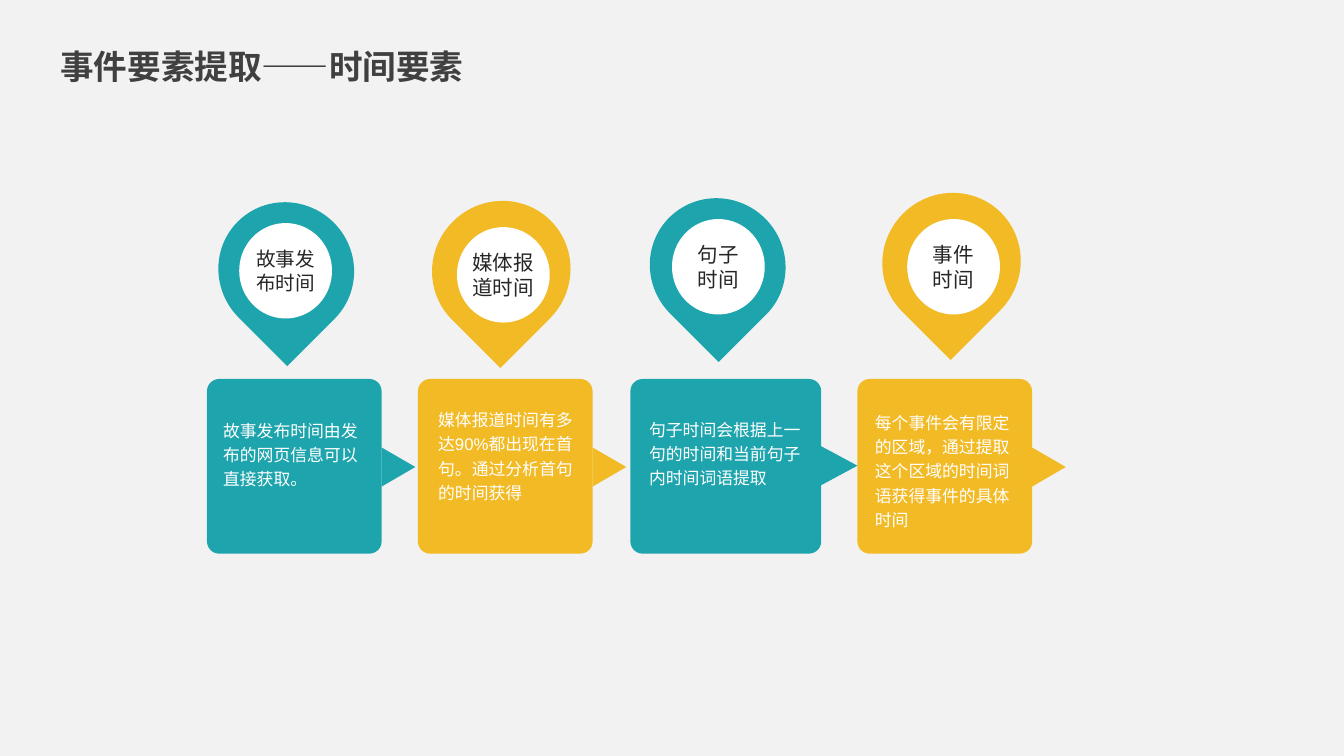
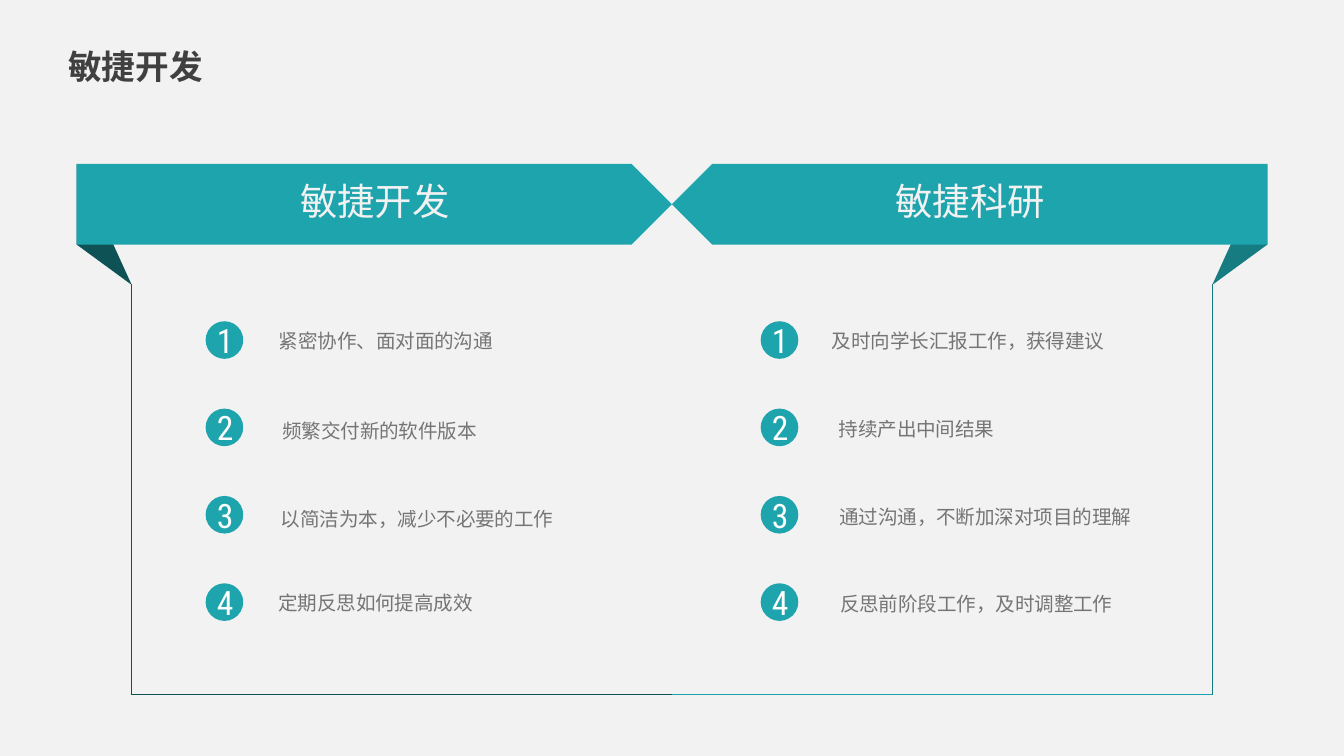
from dataclasses import dataclass

import pptx
import pptx.dml.color
import pptx.enum.shapes
import pptx.enum.text
import pptx.oxml
import pptx.oxml.ns
import pptx.presentation
import pptx.shapes.autoshape
import pptx.slide
import pptx.util
from lxml import etree

RGBColor = pptx.dml.color.RGBColor
SHAPE = pptx.enum.shapes.MSO_SHAPE
ALIGN = pptx.enum.text.PP_ALIGN
qn = pptx.oxml.ns.qn

EMU_PER_PX = 9144
SLIDE_WIDTH = 1000

TEAL = RGBColor(0x1E, 0xA4, 0xAD)
YELLOW = RGBColor(0xF2, 0xBA, 0x25)
DARK_TEAL = RGBColor(0x0F, 0x52, 0x56)
MID_TEAL = RGBColor(0x17, 0x7B, 0x82)
LINE_TEAL = RGBColor(0x1A, 0xA3, 0xAD)
PALE = RGBColor(0xF2, 0xF2, 0xF2)
WHITE = RGBColor(0xFF, 0xFF, 0xFF)
INK = RGBColor(0x26, 0x26, 0x26)
GRAY = RGBColor(0x40, 0x40, 0x40)

CJK_FONT = "Noto Sans CJK SC"
BODY_FONT = "Arial"
DIGIT_FONT = "Roboto Condensed"


@dataclass(frozen=True)
class Box:
    left: int
    top: int
    width: int
    height: int

    def emu(self) -> tuple[pptx.util.Emu, ...]:
        return tuple(map(px, (self.left, self.top, self.width, self.height)))


@dataclass(frozen=True)
class TextStyle:
    size: float
    color: RGBColor
    font: str = BODY_FONT
    bold: bool = False
    align: ALIGN = ALIGN.LEFT
    spacing: float | None = None
    opacity: int = 100
    inset: bool = False


@dataclass(frozen=True)
class TimeStep:
    color: RGBColor
    card: Box
    arrow: Box
    pin: Box
    disc: Box
    label: str
    label_size: float
    body: Box
    text: str


@dataclass(frozen=True)
class ListItem:
    box: Box
    text: str


@dataclass(frozen=True)
class Panel:
    heading: str
    left: int
    badge_left: int
    edge: int
    edge_color: RGBColor
    base_color: RGBColor
    mirrored: bool
    items: tuple[ListItem, ...]


TITLE = TextStyle(18, GRAY, CJK_FONT, bold=True, inset=True)
CARD_TEXT = TextStyle(9, WHITE, spacing=1.2)
HEADING = TextStyle(20, PALE, CJK_FONT, align=ALIGN.CENTER, inset=True)
DIGIT = TextStyle(18, WHITE, DIGIT_FONT, align=ALIGN.CENTER)
ITEM = TextStyle(10.5, GRAY, align=ALIGN.RIGHT, spacing=1.2, opacity=70)

STEPS = (
    TimeStep(TEAL, Box(154, 282, 130, 130), Box(282, 335, 29, 25),
             Box(163, 150, 100, 102), Box(178, 166, 69, 71),
             "故事发布时间", 10.5, Box(166, 310, 105, 55),
             "故事发布时间由发布的网页信息可以直接获取。"),
    TimeStep(YELLOW, Box(311, 282, 130, 130), Box(439, 335, 29, 25),
             Box(321, 150, 104, 102), Box(340, 169, 69, 71),
             "媒体报道时间", 11, Box(326, 302, 105, 71),
             "媒体报道时间有多达90%都出现在首句。通过分析首句的时间获得"),
    TimeStep(TEAL, Box(469, 282, 142, 130), Box(610, 333, 29, 27),
             Box(484, 147, 100, 102), Box(500, 163, 69, 71),
             "句子\n时间", 11, Box(483, 309, 120, 53),
             "句子时间会根据上一句的时间和当前句子内时间词语提取"),
    TimeStep(YELLOW, Box(638, 282, 130, 130), Box(766, 335, 29, 25),
             Box(656, 144, 104, 102), Box(675, 163, 69, 71),
             "事件\n时间", 11, Box(651, 304, 106, 89),
             "每个事件会有限定的区域，通过提取这个区域的时间词语获得事件的具体时间"),
)

PANELS = (
    Panel("敏捷开发", 57, 153, 98, DARK_TEAL, DARK_TEAL, False, (
        ListItem(Box(151, 241, 216, 19), "紧密协作、面对面的沟通"),
        ListItem(Box(170, 308, 185, 21), "频繁交付新的软件版本"),
        ListItem(Box(193, 374, 219, 21), "以简洁为本，减少不必要的工作"),
        ListItem(Box(183, 436, 169, 21), "定期反思如何提高成效"),
    )),
    Panel("敏捷科研", 500, 566, 902, MID_TEAL, LINE_TEAL, True, (
        ListItem(Box(602, 241, 220, 21), "及时向学长汇报工作，获得建议"),
        ListItem(Box(608, 307, 132, 21), "持续产出中间结果"),
        ListItem(Box(616, 372, 226, 21), "通过沟通，不断加深对项目的理解"),
        ListItem(Box(595, 437, 233, 21), "反思前阶段工作，及时调整工作"),
    )),
)


def px(length: int) -> pptx.util.Emu:
    return pptx.util.Emu(length * EMU_PER_PX)


def write_text(shape: pptx.shapes.autoshape.Shape, text: str, style: TextStyle) -> None:
    frame = shape.text_frame
    frame.text = text
    frame.word_wrap = True
    if not style.inset:
        frame.margin_left = frame.margin_right = frame.margin_top = frame.margin_bottom = 0
    for paragraph in frame.paragraphs:
        paragraph.alignment = style.align
        if style.spacing:
            paragraph.line_spacing = style.spacing
        for run in paragraph.runs:
            run.font.size = pptx.util.Pt(style.size)
            run.font.bold = style.bold
            run.font.color.rgb = style.color
            run.font.name = style.font
            properties = run.font._element
            latin = properties.find(qn("a:latin"))
            latin.addnext(etree.Element(qn("a:ea"), typeface=CJK_FONT))
            if style.opacity < 100:
                color = properties.find(".//" + qn("a:srgbClr"))
                etree.SubElement(color, qn("a:alpha"), val=str(style.opacity * 1000))


def add_text(slide: pptx.slide.Slide, box: Box, text: str, style: TextStyle) -> None:
    shape = slide.shapes.add_textbox(*box.emu())
    write_text(shape, text, style)
    shape.text_frame.auto_size = pptx.enum.text.MSO_AUTO_SIZE.SHAPE_TO_FIT_TEXT


def paint(shape: pptx.shapes.autoshape.Shape, color: RGBColor) -> None:
    shape.shadow.inherit = False
    shape.fill.solid()
    shape.fill.fore_color.rgb = color
    shape.line.fill.background()


def add_shape(slide: pptx.slide.Slide, kind: SHAPE, box: Box, color: RGBColor,
              rotation: int = 0) -> pptx.shapes.autoshape.Shape:
    shape = slide.shapes.add_shape(kind, *box.emu())
    paint(shape, color)
    shape.rotation = rotation
    return shape


def add_line(slide: pptx.slide.Slide, start: tuple[int, int], end: tuple[int, int],
             color: RGBColor) -> None:
    line = slide.shapes.add_connector(
        pptx.enum.shapes.MSO_CONNECTOR.STRAIGHT, *map(px, (*start, *end)))
    line.line.color.rgb = color
    line.line.width = pptx.util.Pt(0.75)
    etree.SubElement(line._element.spPr, qn("a:effectLst"))


def add_slide(presentation: pptx.presentation.Presentation, title: str,
              title_box: Box) -> pptx.slide.Slide:
    slide = presentation.slides.add_slide(presentation.slide_layouts[6])
    slide.background.fill.solid()
    slide.background.fill.fore_color.rgb = PALE
    add_text(slide, title_box, title, TITLE)
    return slide


def draw_step(slide: pptx.slide.Slide, step: TimeStep) -> None:
    add_shape(slide, SHAPE.ISOSCELES_TRIANGLE, step.arrow, step.color, 90)
    card = add_shape(slide, SHAPE.ROUNDED_RECTANGLE, step.card, step.color)
    card.adjustments[0] = 0.07
    add_text(slide, step.body, step.text, CARD_TEXT)
    add_shape(slide, SHAPE.TEAR, step.pin, step.color, 135)
    disc = add_shape(slide, SHAPE.OVAL, step.disc, WHITE)
    write_text(disc, step.label, TextStyle(step.label_size, INK, align=ALIGN.CENTER))
    disc.text_frame.vertical_anchor = pptx.enum.text.MSO_ANCHOR.MIDDLE


def draw_panel(slide: pptx.slide.Slide, panel: Panel) -> None:
    outer = SLIDE_WIDTH - 57 if panel.mirrored else 57
    builder = slide.shapes.build_freeform(outer, 122, scale=EMU_PER_PX)
    builder.add_line_segments([(panel.edge, 212), (outer, 182)], close=True)
    paint(builder.convert_to_shape(), panel.edge_color)
    add_line(slide, (panel.edge, 211), (panel.edge, 517), panel.edge_color)
    add_line(slide, (panel.edge, 517), (SLIDE_WIDTH // 2, 517), panel.base_color)

    banner = add_shape(slide, SHAPE.PENTAGON, Box(panel.left, 122, 443, 60), TEAL)
    if panel.mirrored:
        banner._element.spPr.xfrm.set("flipH", "1")
    add_text(slide, Box(panel.left + 146, 128, 152, 44), panel.heading, HEADING)

    for index, item in enumerate(panel.items):
        top = 239 + 65 * index
        add_shape(slide, SHAPE.OVAL, Box(panel.badge_left, top, 28, 28), TEAL)
        add_text(slide, Box(panel.badge_left + 3, top - 1, 23, 30), str(index + 1), DIGIT)
        add_text(slide, item.box, item.text, ITEM)


def main() -> None:
    presentation = pptx.Presentation()
    presentation.slide_width = px(SLIDE_WIDTH)
    presentation.slide_height = pptx.util.Emu(px(SLIDE_WIDTH) * 9 // 16)

    time_slide = add_slide(presentation, "事件要素提取——时间要素", Box(35, 29, 354, 40))
    for step in STEPS:
        draw_step(time_slide, step)

    agile_slide = add_slide(presentation, "敏捷开发", Box(41, 29, 220, 40))
    for panel in PANELS:
        draw_panel(agile_slide, panel)

    presentation.save("out.pptx")


if __name__ == "__main__":
    main()
